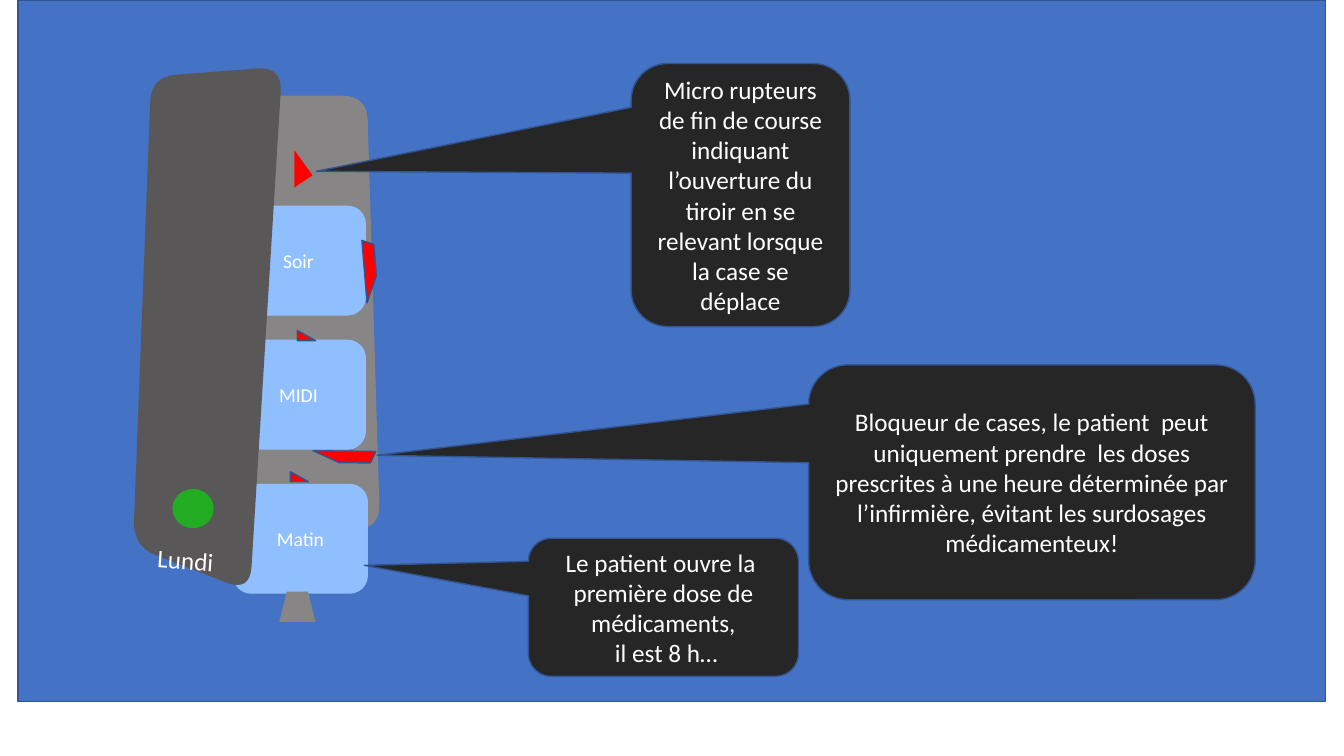
from pptx import Presentation
from pptx.dml.color import RGBColor
from pptx.enum.shapes import MSO_SHAPE
from pptx.enum.text import MSO_ANCHOR, PP_ALIGN
from pptx.util import Inches, Pt

BLUE = RGBColor(0x44, 0x72, 0xC4)
OUTLINE = RGBColor(0x32, 0x54, 0x91)
BLACK = RGBColor(0x26, 0x26, 0x26)
CASE_GRAY = RGBColor(0x87, 0x85, 0x85)
LID_GRAY = RGBColor(0x59, 0x57, 0x57)
DRAWER_BLUE = RGBColor(0x90, 0xBF, 0xFF)
RED = RGBColor(0xFF, 0, 0)
GREEN = RGBColor(0x22, 0xAC, 0x22)
WHITE = RGBColor(0xFF, 0xFF, 0xFF)

# Content: text, box, pointer offset as a share of the box
CALLOUTS = [
    ("Bloqueur de cases, le patient  peut uniquement prendre  les doses prescrites "
     "à une heure déterminée par l’infirmière, évitant les surdosages médicamenteux!",
     (8.02, 3.62, 4.43, 2.33), (-1.466, -0.115)),
    ("Micro rupteurs de fin de course indiquant l’ouverture du tiroir en se "
     "relevant lorsque la case se déplace",
     (6.26, 0.63, 2.17, 2.61), (-1.938, -0.09)),
    ("Le patient ouvre la  première dose de médicaments,\n il est 8 h…",
     (5.24, 5.34, 2.68, 1.37), (-1.107, -0.304)),
]
DRAWERS = [("Matin", 2.31, 4.8), ("MIDI", 2.29, 3.37), ("Soir", 2.29, 2.04)]
DRAWER_SIZE = (1.34, 1.09)
SWITCHES = [(2.95, 3.28, 0.18, 0.1), (2.88, 4.68, 0.18, 0.1)]
BLOCKERS = [((3.13, 4.35, 0.57, 0.25), 204.4), ((3.33, 2.57, 0.57, 0.25), 109)]

# Outlines seen in perspective
CASE = [(2.21, 0.95), (3.64, 0.95), (3.77, 5.25), (2.21, 5.25)]
LID = [(1.5, 0.76), (2.8, 0.66), (2.48, 5.87), (1.32, 5.42)]
TOP_SWITCH = [(2.92, 1.49), (3.1, 1.74), (2.92, 1.86)]

deck = Presentation()
deck.slide_width, deck.slide_height = Inches(13.33), Inches(7.5)
page = deck.slides.add_slide(deck.slide_layouts[6])


def paint(shape, fill, outlined):
    shape.shadow.inherit = False
    shape.fill.solid()
    shape.fill.fore_color.rgb = fill
    if outlined:
        shape.line.color.rgb = OUTLINE
        shape.line.width = Pt(1)
    else:
        shape.line.fill.background()


def add_part(kind, box, fill, outlined=True):
    shape = page.shapes.add_shape(kind, *map(Inches, box))
    paint(shape, fill, outlined)
    return shape


def write(shape, text, size):
    frame = shape.text_frame
    frame.word_wrap = True
    frame.vertical_anchor = MSO_ANCHOR.MIDDLE
    frame.text = text
    for para in frame.paragraphs:
        para.alignment = PP_ALIGN.CENTER
        for span in para.runs:
            span.font.name = "Calibri"
            span.font.size = Pt(size)
            span.font.color.rgb = WHITE


def rounded(corners, radius, steps=8):
    """Replace each corner by a short quadratic curve."""
    points = []
    for i, (x, y) in enumerate(corners):
        ends = []
        for nx, ny in (corners[i - 1], corners[(i + 1) % len(corners)]):
            share = radius / ((nx - x) ** 2 + (ny - y) ** 2) ** 0.5
            ends.append((x + (nx - x) * share, y + (ny - y) * share))
        (ax, ay), (bx, by) = ends
        for step in range(steps + 1):
            t = step / steps
            u = 1 - t
            points.append((u * u * ax + 2 * u * t * x + t * t * bx,
                           u * u * ay + 2 * u * t * y + t * t * by))
    return points


def add_outline(points, fill):
    points = [(Inches(x), Inches(y)) for x, y in points]
    builder = page.shapes.build_freeform(*points[0])
    builder.add_line_segments(points[1:], close=True)
    paint(builder.convert_to_shape(), fill, False)


# Background and pill case
add_part(MSO_SHAPE.RECTANGLE, (0.18, 0, 12.97, 6.96), BLUE)
add_outline(rounded(CASE, 0.25), CASE_GRAY)
for label, left, top in DRAWERS:
    drawer = add_part(MSO_SHAPE.ROUNDED_RECTANGLE, (left, top, *DRAWER_SIZE),
                      DRAWER_BLUE, False)
    write(drawer, label, 14)
add_part(MSO_SHAPE.TRAPEZOID, (2.77, 5.87, 0.36, 0.3), CASE_GRAY, False)

# Switches
add_outline(TOP_SWITCH, RED)
for box in SWITCHES:
    add_part(MSO_SHAPE.RIGHT_TRIANGLE, box, RED)

# Lid with its day and light
add_outline(rounded(LID, 0.25), LID_GRAY)
day = page.shapes.add_textbox(Inches(1.34), Inches(5.35), Inches(1), Inches(0.4))
write(day, "Lundi", 18)
day.rotation = 4
add_part(MSO_SHAPE.OVAL, (1.71, 4.85, 0.41, 0.39), GREEN, False)

# Blockers
for box, angle in BLOCKERS:
    add_part(MSO_SHAPE.DIAGONAL_STRIPE, box, RED).rotation = angle

# Callouts
for text, box, (tip_x, tip_y) in CALLOUTS:
    callout = add_part(MSO_SHAPE.ROUNDED_RECTANGULAR_CALLOUT, box, BLACK)
    callout.adjustments[0] = tip_x
    callout.adjustments[1] = tip_y
    callout.adjustments[2] = 0.167
    write(callout, text, 18)

deck.save("out.pptx")
